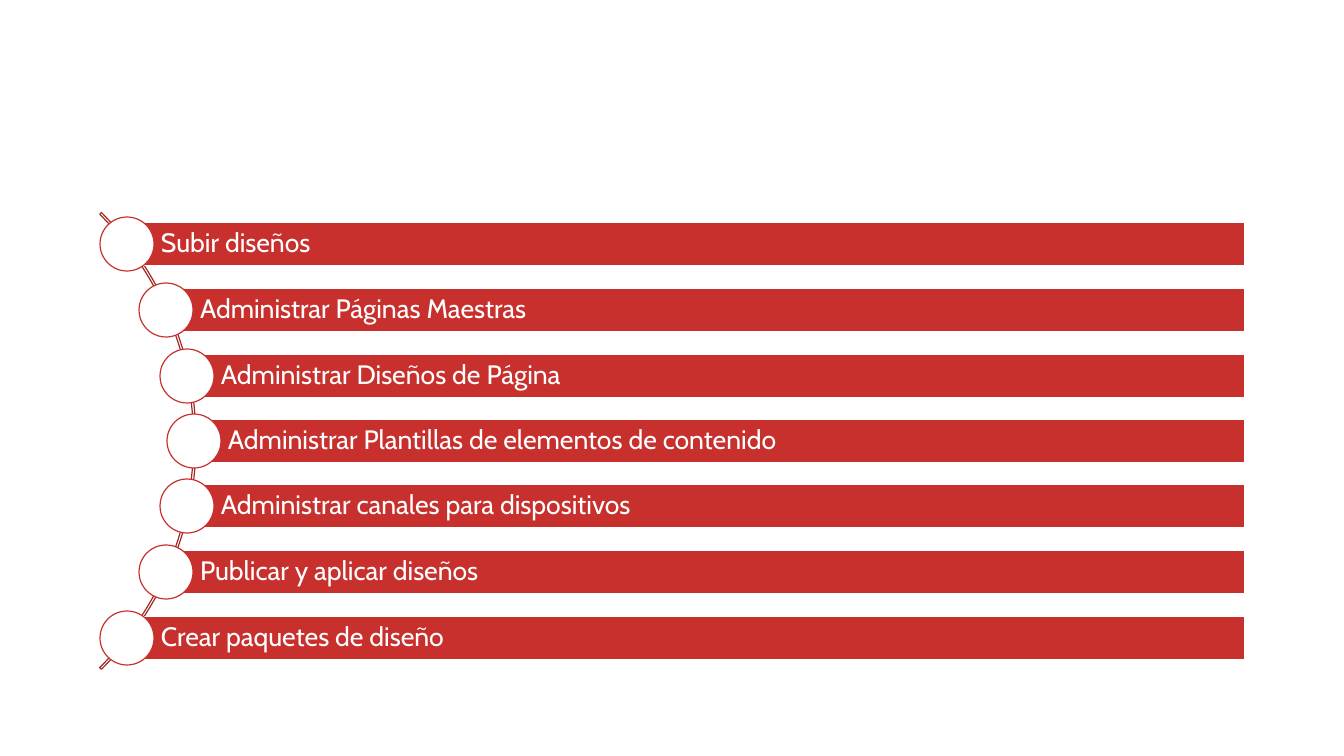
from dataclasses import dataclass
from math import sqrt

from pptx import Presentation
from pptx.dml.color import RGBColor
from pptx.enum.shapes import MSO_SHAPE as Shape
from pptx.enum.text import MSO_ANCHOR as Anchor, PP_ALIGN as Align
from pptx.shapes.autoshape import Shape as AutoShape
from pptx.slide import Slide
from pptx.util import Emu, Inches, Pt

PX_PER_INCH = 100.8

ARC_CX, ARC_CY, ARC_RADIUS = -127, 441, 323
ARC_ADJUSTMENTS = (189, 27, 0.0037)  # 315 degrees, 45 degrees, thickness
MARKER_TRACK = 321
ROW_PITCH = 65.5
BAR_RIGHT, BAR_HEIGHT = 1245, 43
MARKER_SIZE = 54
TEXT_INDENT, TEXT_MARGIN = 34, 5

LABELS = (
    "Subir diseños",
    "Administrar Páginas Maestras",
    "Administrar Diseños de Página",
    "Administrar Plantillas de elementos de contenido",
    "Administrar canales para dispositivos",
    "Publicar y aplicar diseños",
    "Crear paquetes de diseño",
)


@dataclass(frozen=True)
class Theme:
    red: RGBColor = RGBColor(0xC8, 0x30, 0x2D)
    dark_red: RGBColor = RGBColor(0xA0, 0x26, 0x24)
    white: RGBColor = RGBColor(0xFF, 0xFF, 0xFF)
    font: str = "Cabin"
    text_size: Pt = Pt(19)
    line_width: Pt = Pt(0.85)


@dataclass(frozen=True)
class Step:
    label: str
    cx: int
    cy: int


THEME = Theme()


def px(length: float) -> Emu:
    return Inches(length / PX_PER_INCH)


def steps_on_arc() -> list[Step]:
    """Space the steps evenly in height, each centred on the arc."""
    steps = []
    for i, label in enumerate(LABELS):
        dy = (i - (len(LABELS) - 1) / 2) * ROW_PITCH
        dx = sqrt(MARKER_TRACK ** 2 - dy ** 2)
        steps.append(Step(label, round(ARC_CX + dx), round(ARC_CY + dy)))
    return steps


def add_outlined(slide: Slide, kind: Shape, left: float, top: float,
                 width: float, height: float, line: RGBColor,
                 fill: RGBColor | None = None) -> AutoShape:
    sp = slide.shapes.add_shape(kind, px(left), px(top), px(width), px(height))
    sp.shadow.inherit = False
    if fill is None:
        sp.fill.background()
    else:
        sp.fill.solid()
        sp.fill.fore_color.rgb = fill
    sp.line.color.rgb = line
    sp.line.width = THEME.line_width
    return sp


def add_arc(slide: Slide) -> None:
    size = 2 * ARC_RADIUS
    sp = add_outlined(slide, Shape.BLOCK_ARC, ARC_CX - ARC_RADIUS,
                      ARC_CY - ARC_RADIUS, size, size, THEME.dark_red)
    for i, value in enumerate(ARC_ADJUSTMENTS):
        sp.adjustments[i] = value


def add_step(slide: Slide, step: Step) -> None:
    bar = add_outlined(slide, Shape.RECTANGLE, step.cx,
                       step.cy - BAR_HEIGHT / 2, BAR_RIGHT - step.cx,
                       BAR_HEIGHT, THEME.white, THEME.red)
    tf = bar.text_frame
    tf.text = step.label
    tf.word_wrap = True
    tf.vertical_anchor = Anchor.MIDDLE
    tf.margin_left = px(TEXT_INDENT)
    tf.margin_top = tf.margin_right = tf.margin_bottom = px(TEXT_MARGIN)
    p = tf.paragraphs[0]
    p.alignment = Align.LEFT
    p.line_spacing = 0.9
    font = p.runs[0].font
    font.name = THEME.font
    font.size = THEME.text_size
    font.color.rgb = THEME.white

    add_outlined(slide, Shape.OVAL, step.cx - MARKER_SIZE / 2,
                 step.cy - MARKER_SIZE / 2, MARKER_SIZE, MARKER_SIZE,
                 THEME.red, THEME.white)


def main() -> None:
    prs = Presentation()
    prs.slide_width, prs.slide_height = px(1344), px(756)
    blank = prs.slide_layouts.get_by_name("Blank")
    slide = prs.slides.add_slide(blank)
    add_arc(slide)
    for step in steps_on_arc():
        add_step(slide, step)
    prs.save("out.pptx")


if __name__ == "__main__":
    main()
